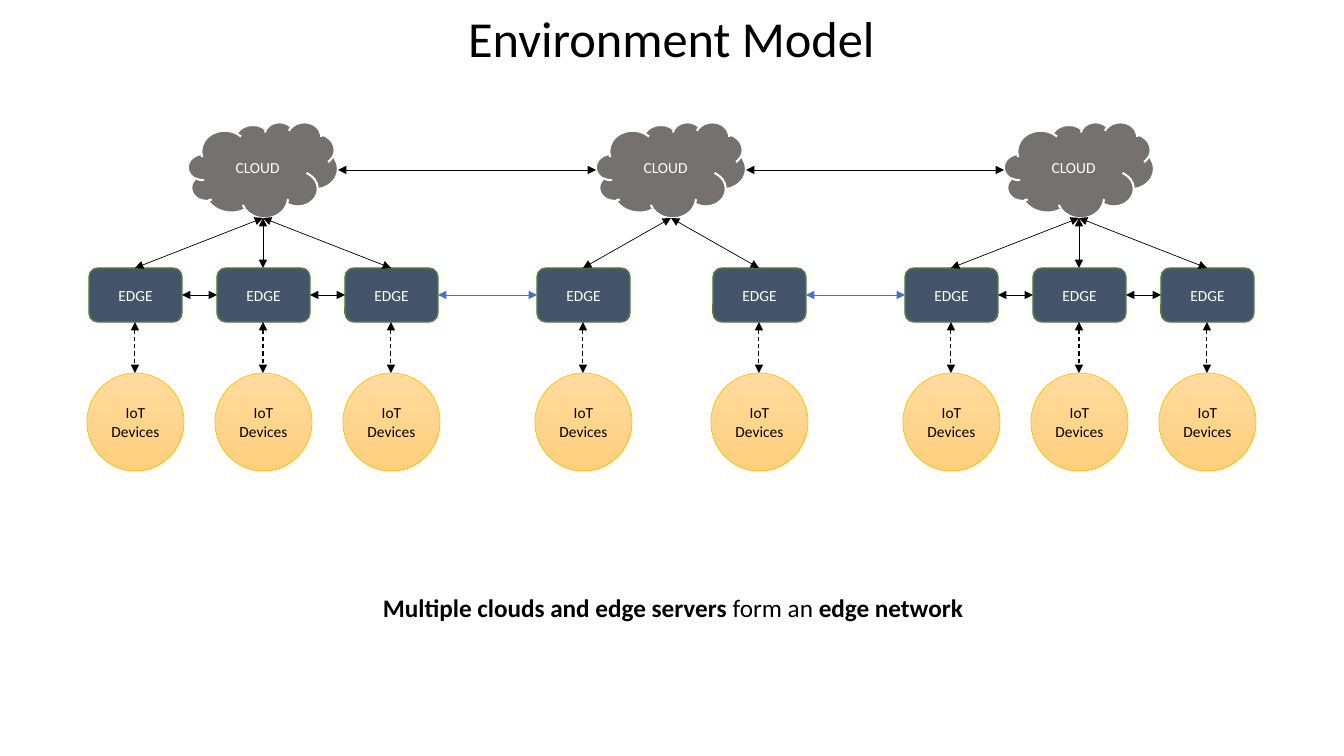
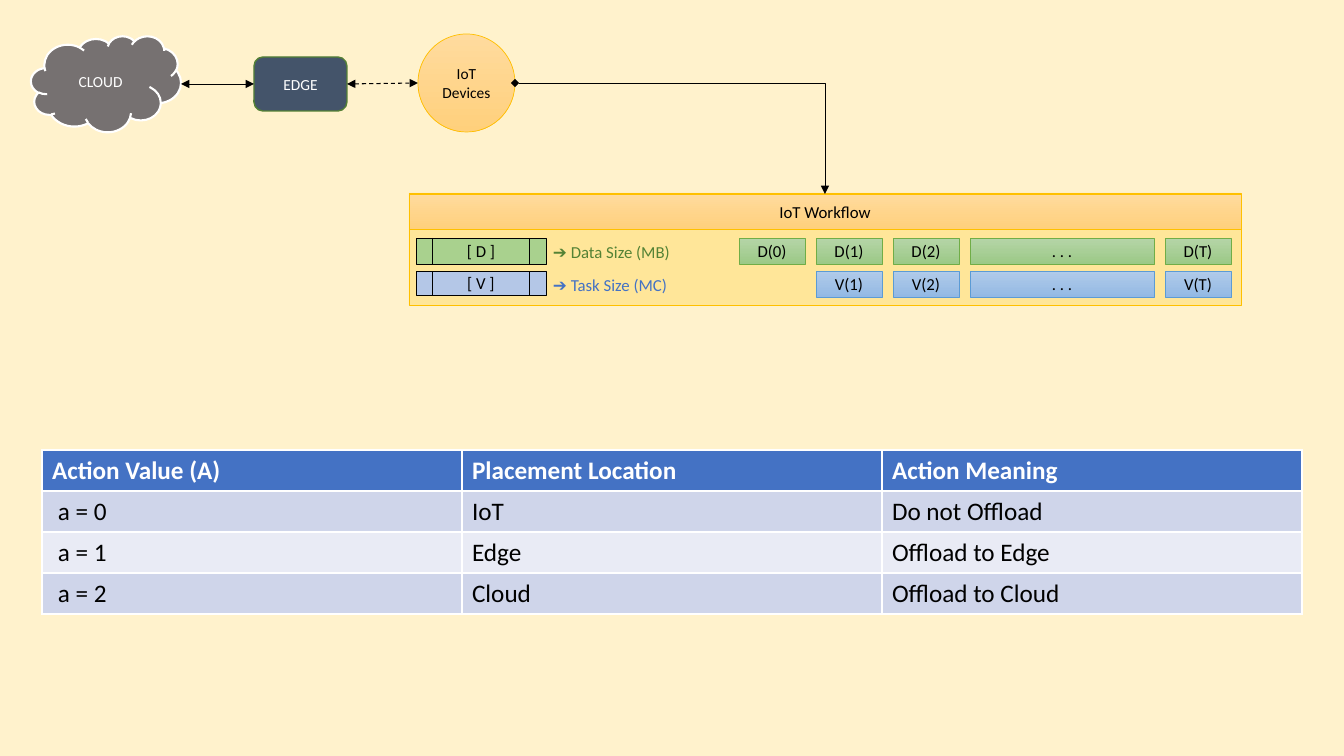
from itertools import pairwise
from lxml.etree import SubElement
from pptx import Presentation
from pptx.dml.color import RGBColor as RGB
from pptx.enum.dml import MSO_LINE as DASH
from pptx.enum.shapes import MSO_CONNECTOR as CON, MSO_SHAPE as SHAPE
from pptx.enum.text import MSO_ANCHOR as ANCHOR, MSO_AUTO_SIZE as FIT, PP_ALIGN as ALIGN
from pptx.oxml.ns import qn
from pptx.util import Emu, Pt

FONT = "Calibri"
INK = {
    "black": "000000", "white": "FFFFFF", "cream": "FFF2CC", "gray": "767171",
    "navy": "44546A", "moss": "538035", "gold": "FFC000", "sand": "FFE699",
    "peach": "FFDB9E", "amber": "FFD07C", "blue": "4472C4", "green": "548235",
    "leaf": "A9D18E", "sky": "B4C7E7", "mint": "B5D5A7", "fern": "9CC987",
    "lime": "70AD47", "ice": "B1CBE9", "azure": "93B9E4", "steel": "5B9BD5",
    "band": "CFD5EA", "pale": "E9EBF5",
}
TITLE = "Environment Model"
CAPTION = [("Multiple clouds and edge servers ", True), ("form an ", False), ("edge network", True)]
SITES = [(263, (-128, 0, 128)), (671, (-88, 88)), (1079, (-128, 0, 128))]
STEPS = [("0", 66), ("1", 66), ("2", 66), (". . .", 184), ("T", 66)]
FLOWS = [
    ("D", "Data Size (MB)", "green", "leaf", ("mint", "fern"), "lime", 0),
    ("V", "Task Size (MC)", "blue", "sky", ("ice", "azure"), "steel", 1),
]
ACTIONS = [
    ("Action Value (A)", "Placement Location", "Action Meaning"),
    ("a = 0", "IoT", "Do not Offload"),
    ("a = 1", "Edge", "Offload to Edge"),
    ("a = 2", "Cloud", "Offload to Cloud"),
]
NODES = {
    "CLOUD": (SHAPE.CLOUD, 150, 96, ("gray",), "white", 1.5, "white"),
    "EDGE": (SHAPE.FLOWCHART_ALTERNATE_PROCESS, 93, 54, ("navy",), "moss", 1, "white"),
    "IoT Devices": (SHAPE.OVAL, 97, 98, ("peach", "amber"), "gold", 0.5, "black"),
}
SNUG = {"margin_left": 0, "margin_right": 0, "margin_top": 0, "margin_bottom": 0,
        "vertical_anchor": ANCHOR.MIDDLE, "word_wrap": True}
LOOSE = {"word_wrap": True, "vertical_anchor": ANCHOR.TOP}


def px(n):
    return Emu(round(n * 9525 / 1.05))


def tone(name):
    return RGB.from_string(INK[name])


def assign(target, values):
    for key, value in values.items():
        setattr(target, key, value)


def write(frame, runs, size, color, align, form):
    assign(frame, form)
    para = frame.paragraphs[0]
    para.alignment = align
    for text, bold in runs:
        run = para.add_run()
        run.text = text
        assign(run.font, {"name": FONT, "size": Pt(size), "bold": bold})
        run.font.color.rgb = tone(color)


def label(slide, area, runs, size, color, align):
    frame = slide.shapes.add_textbox(*map(px, area)).text_frame
    write(frame, runs, size, color, align, LOOSE)


def block(slide, kind, area, fill, edge, width=0.5, text="", size=12, color="black"):
    shape = slide.shapes.add_shape(kind, *map(px, area))
    shape.shadow.inherit = False
    if len(fill) == 1:
        shape.fill.solid()
        shape.fill.fore_color.rgb = tone(fill[0])
    else:
        shape.fill.gradient()
        shape.fill.gradient_angle = 270
        for stop, name in zip(shape.fill.gradient_stops, fill):
            stop.color.rgb = tone(name)
    shape.line.color.rgb = tone(edge)
    shape.line.width = Pt(width)
    if text:
        write(shape.text_frame, [(text, False)], size, color, ALIGN.CENTER, SNUG)


def node(slide, text, mid, top):
    kind, wide, high, fill, edge, width, color = NODES[text]
    left = mid - wide // 2
    block(slide, kind, (left, top, wide, high), fill, edge, width, text, 11, color)
    return {"left": (left, top + high / 2), "right": (left + wide, top + high / 2),
            "top": (mid, top), "base": (mid, top + high)}


def link(slide, start, end, color="black", dash=False, head="triangle", bent=False):
    kind = CON.ELBOW if bent else CON.STRAIGHT
    wire = slide.shapes.add_connector(kind, *map(px, start + end))
    wire.line.color.rgb = tone(color)
    wire.line.width = Pt(0.75 if dash else 0.5)
    if dash:
        wire.line.dash_style = DASH.DASH
    props = wire.element.spPr
    if bent:
        props.find(qn("a:prstGeom")).set("prst", "bentConnector2")
    for tag, tip in (("a:headEnd", head), ("a:tailEnd", "triangle")):
        SubElement(props.find(qn("a:ln")), qn(tag), type=tip)
    SubElement(props, qn("a:effectLst"))


def page(deck, layout, color):
    slide = deck.slides.add_slide(deck.slide_layouts[layout])
    slide.background.fill.solid()
    slide.background.fill.fore_color.rgb = tone(color)
    return slide


def model(deck):
    slide = page(deck, 5, "white")
    title = slide.shapes.title
    assign(title, dict(zip(("left", "top", "width", "height"), map(px, (458, 2, 430, 72)))))
    form = {"word_wrap": False, "auto_size": FIT.SHAPE_TO_FIT_TEXT, "vertical_anchor": ANCHOR.TOP}
    write(title.text_frame, [(TITLE, False)], 36, "black", ALIGN.LEFT, form)
    label(slide, (89, 587, 1168, 40), CAPTION, 18, "black", ALIGN.CENTER)
    clouds, edges = [], []
    for site, (mid, shifts) in enumerate(SITES):
        cloud = node(slide, "CLOUD", mid, 122)
        clouds.append(cloud)
        for shift in shifts:
            edge = node(slide, "EDGE", mid + shift, 268)
            thing = node(slide, "IoT Devices", mid + shift, 373)
            link(slide, cloud["base"], edge["top"])
            link(slide, edge["base"], thing["top"], dash=True)
            edges.append((site, edge))
    for one, two in pairwise(clouds):
        link(slide, one["right"], two["left"])
    for (here, one), (there, two) in pairwise(edges):
        if here != there and there == 1 or here == 1 and there == 2:
            link(slide, one["right"], two["left"], "blue")
        elif here != 1:
            link(slide, one["right"], two["left"])


def flow(deck):
    slide = page(deck, 6, "cream")
    cloud = node(slide, "CLOUD", 106, 36)
    edge = node(slide, "EDGE", 300, 57)
    thing = node(slide, "IoT Devices", 466, 34)
    link(slide, cloud["right"], edge["left"])
    link(slide, edge["right"], thing["left"], dash=True)
    block(slide, SHAPE.RECTANGLE, (409, 193, 832, 112), ("sand",), "gold")
    block(slide, SHAPE.RECTANGLE, (409, 194, 832, 35), ("peach", "amber"), "gold", text="IoT Workflow")
    for row, (key, name, color, flat, shade, rim, first) in enumerate(FLOWS):
        top = 238 + 33 * row
        block(slide, SHAPE.FLOWCHART_PREDEFINED_PROCESS, (416, top, 130, 26 - 2 * row),
              (flat,), "black", text=f"[ {key} ]")
        label(slide, (543, top - 1, 190, 30), [(f"➔ {name}", False)], 12, color, ALIGN.LEFT)
        left = 739
        for col, (step, wide) in enumerate(STEPS):
            if col >= first:
                text = step if step.startswith(".") else f"{key}({step})"
                block(slide, SHAPE.RECTANGLE, (left, top, wide, 26), shade, rim, text=text)
            left += wide + 11
    link(slide, thing["right"], (825, 194), head="diamond", bent=True)
    rows, cols = len(ACTIONS), len(ACTIONS[0])
    area = (42, 450, 420 * cols, 41 * rows)
    table = slide.shapes.add_table(rows, cols, *map(px, area)).table
    for r, texts in enumerate(ACTIONS):
        fill = ("pale", "band")[r % 2] if r else "blue"
        for c, text in enumerate(texts):
            cell = table.cell(r, c)
            cell.fill.solid()
            cell.fill.fore_color.rgb = tone(fill)
            if r and not c:
                cell.margin_left = px(16)
            write(cell.text_frame, [(text, not r)], 18, "black" if r else "white", ALIGN.LEFT, {})


deck = Presentation()
assign(deck, {"slide_width": px(1344), "slide_height": px(756)})
model(deck)
flow(deck)
deck.save("out.pptx")
